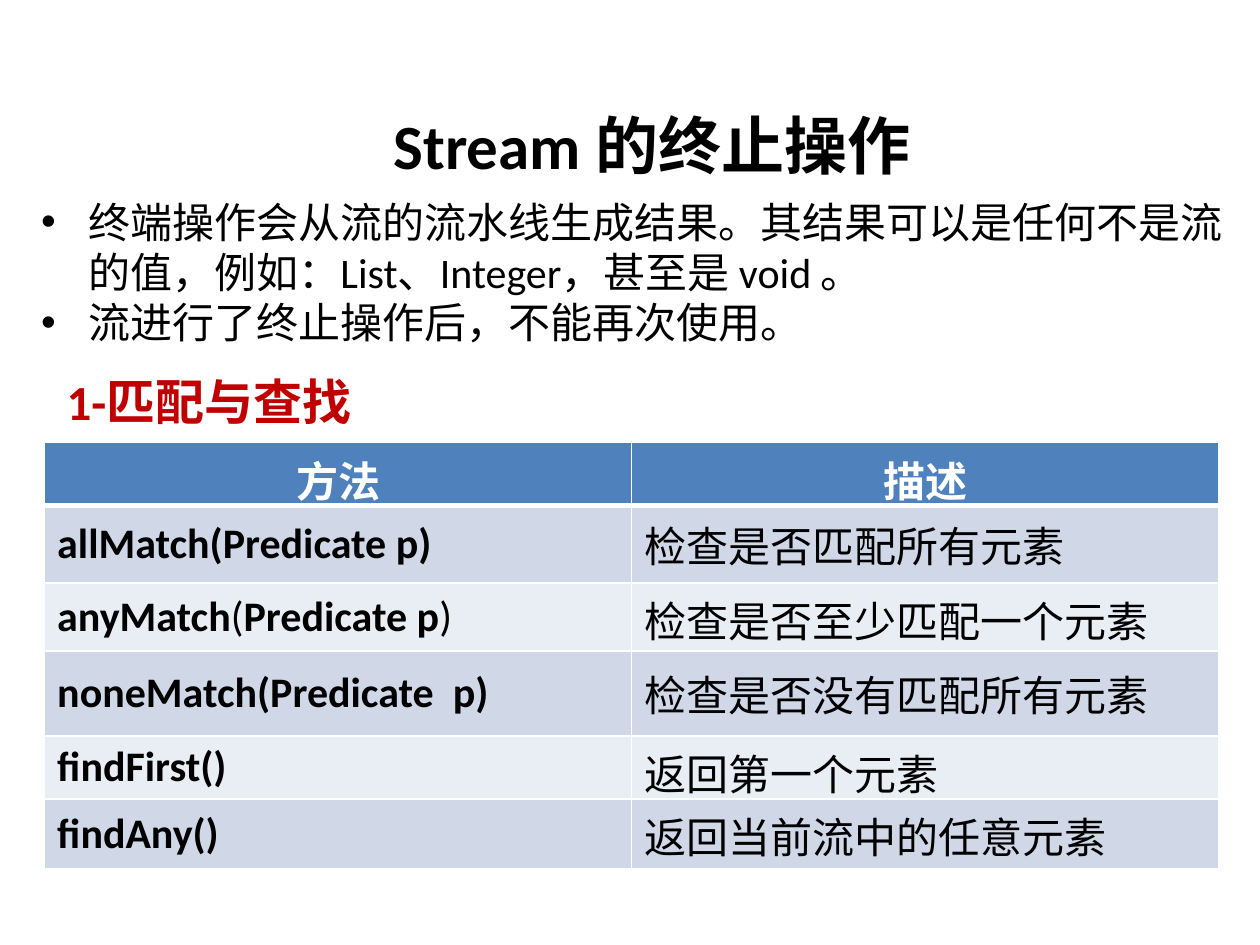
"""Build the slide on terminal operations of a Stream."""
from dataclasses import dataclass, field
from typing import Any

from lxml import etree
from pptx import Presentation
from pptx import util as u
from pptx.dml.color import RGBColor
from pptx.enum import text
from pptx.oxml import ns

MIDDLE, TOP = text.MSO_ANCHOR.MIDDLE, text.MSO_ANCHOR.TOP
FIT, FIXED = text.MSO_AUTO_SIZE.SHAPE_TO_FIT_TEXT, text.MSO_AUTO_SIZE.NONE
CENTER, LEFT = text.PP_ALIGN.CENTER, text.PP_ALIGN.LEFT
BLACK, WHITE, RED = "000000", "FFFFFF", "C00000"
HEADER_FILL, BANDS = "4F81BD", ("D0D8E8", "E9EDF4")


@dataclass
class Block:
    """A text block with its place in points and its format."""

    box: tuple[float, float, float, float]
    lines: list[str]
    size: int
    color: str = BLACK
    bold: bool = False
    bullet: bool = False
    frame: dict[str, Any] = field(default_factory=dict)
    paragraph: dict[str, Any] = field(default_factory=dict)


@dataclass
class Method:
    """A table row: signature as (wording, bold) pairs, description, height."""

    signature: list[tuple[str, bool]]
    description: str
    height: float


def apply(target: Any, values: dict[str, Any]) -> None:
    """Set each attribute of the target from the format values."""
    for name, value in values.items():
        setattr(target, name, value)


def rgb(code: str) -> RGBColor:
    """Turn a hex string into a colour."""
    return RGBColor.from_string(code)


def write(paragraph: Any, wording: str, size: int, color: str, bold: bool) -> None:
    """Add one formatted run to a paragraph."""
    run = paragraph.add_run()
    run.text = wording
    apply(run.font, {"name": "Calibri", "size": u.Pt(size), "bold": bold})
    run.font.color.rgb = rgb(color)


def add_bullet(paragraph: Any) -> None:
    """Give a paragraph a hanging round bullet."""
    props = paragraph._p.get_or_add_pPr()
    props.set("marL", str(u.Pt(27)))
    props.set("indent", str(-u.Pt(27)))
    etree.SubElement(props, ns.qn("a:buFont"), typeface="Arial")
    etree.SubElement(props, ns.qn("a:buChar"), char="•")


def draw_block(slide: Any, block: Block) -> None:
    """Draw a text block."""
    frame = slide.shapes.add_textbox(*map(u.Pt, block.box)).text_frame
    apply(frame, {"word_wrap": True, **block.frame})
    for index, line in enumerate(block.lines):
        paragraph = frame.add_paragraph() if index else frame.paragraphs[0]
        apply(paragraph, block.paragraph)
        if block.bullet:
            add_bullet(paragraph)
        write(paragraph, line, block.size, block.color, block.bold)


def add_borders(cell: Any, widths: dict[str, float]) -> None:
    """Give a cell white borders of the given widths."""
    props = cell._tc.get_or_add_tcPr()
    for side, width in widths.items():
        line = etree.SubElement(props, ns.qn(f"a:{side}"), w=str(u.Pt(width)))
        fill = etree.SubElement(line, ns.qn("a:solidFill"))
        etree.SubElement(fill, ns.qn("a:srgbClr"), val=WHITE)


def draw_methods(slide: Any, rows: list[Method]) -> None:
    """Draw the table of methods, the first row being its header."""
    height = sum(row.height for row in rows)
    place = map(u.Pt, (25.5, 253, 671, height))
    table = slide.shapes.add_table(len(rows), 2, *place).table
    for column in table.columns:
        column.width = u.Pt(335.5)
    for index, row in enumerate(rows):
        header = index == 0
        table.rows[index].height = u.Pt(row.height)
        widths = {"lnL": 1, "lnR": 1, "lnT": 3 if index == 1 else 1,
                  "lnB": 3 if header else 1}
        for column, pairs in enumerate((row.signature, [(row.description, header)])):
            cell = table.cell(index, column)
            add_borders(cell, widths)
            cell.fill.solid()
            cell.fill.fore_color.rgb = rgb(HEADER_FILL if header else BANDS[(index - 1) % 2])
            cell.vertical_anchor = MIDDLE
            paragraph = cell.text_frame.paragraphs[0]
            paragraph.alignment = CENTER if header else LEFT
            for wording, bold in pairs:
                write(paragraph, wording, 24, WHITE if header else BLACK, bold)


BLOCKS = [
    Block((198, 51, 349, 63), ["Stream 的终止操作"], 36, bold=True,
          frame={"vertical_anchor": MIDDLE, "auto_size": FIXED},
          paragraph={"alignment": CENTER}),
    Block((31, 202.5, 513, 47.5), ["1-匹配与查找"], 28, RED, bold=True,
          frame={"vertical_anchor": TOP, "auto_size": FIT},
          paragraph={"line_spacing": u.Pt(40)}),
    Block((16.5, 108.5, 692, 94.5),
          ["终端操作会从流的流水线生成结果。其结果可以是任何不是流的值，"
           "例如：List、Integer，甚至是 void 。",
           "流进行了终止操作后，不能再次使用。"],
          24, bullet=True, frame={"vertical_anchor": TOP, "auto_size": FIT}),
]

METHODS = [
    Method([("方法", True)], "描述", 35.5),
    Method([("allMatch(Predicate p)", True)], "检查是否匹配所有元素", 44),
    Method([("anyMatch", True), ("(", False), ("Predicate p", True), (")", False)],
           "检查是否至少匹配一个元素", 39),
    Method([("noneMatch(Predicate  p)", True)], "检查是否没有匹配所有元素", 48.5),
    Method([("findFirst()", True)], "返回第一个元素", 34),
    Method([("findAny()", True)], "返回当前流中的任意元素", 40),
]


def main() -> None:
    """Build and save the slide."""
    deck = Presentation()
    apply(deck, {"slide_width": u.Pt(720), "slide_height": u.Pt(540)})
    slide = deck.slides.add_slide(deck.slide_layouts[6])
    for block in BLOCKS:
        draw_block(slide, block)
    draw_methods(slide, METHODS)
    deck.save("out.pptx")


main()
